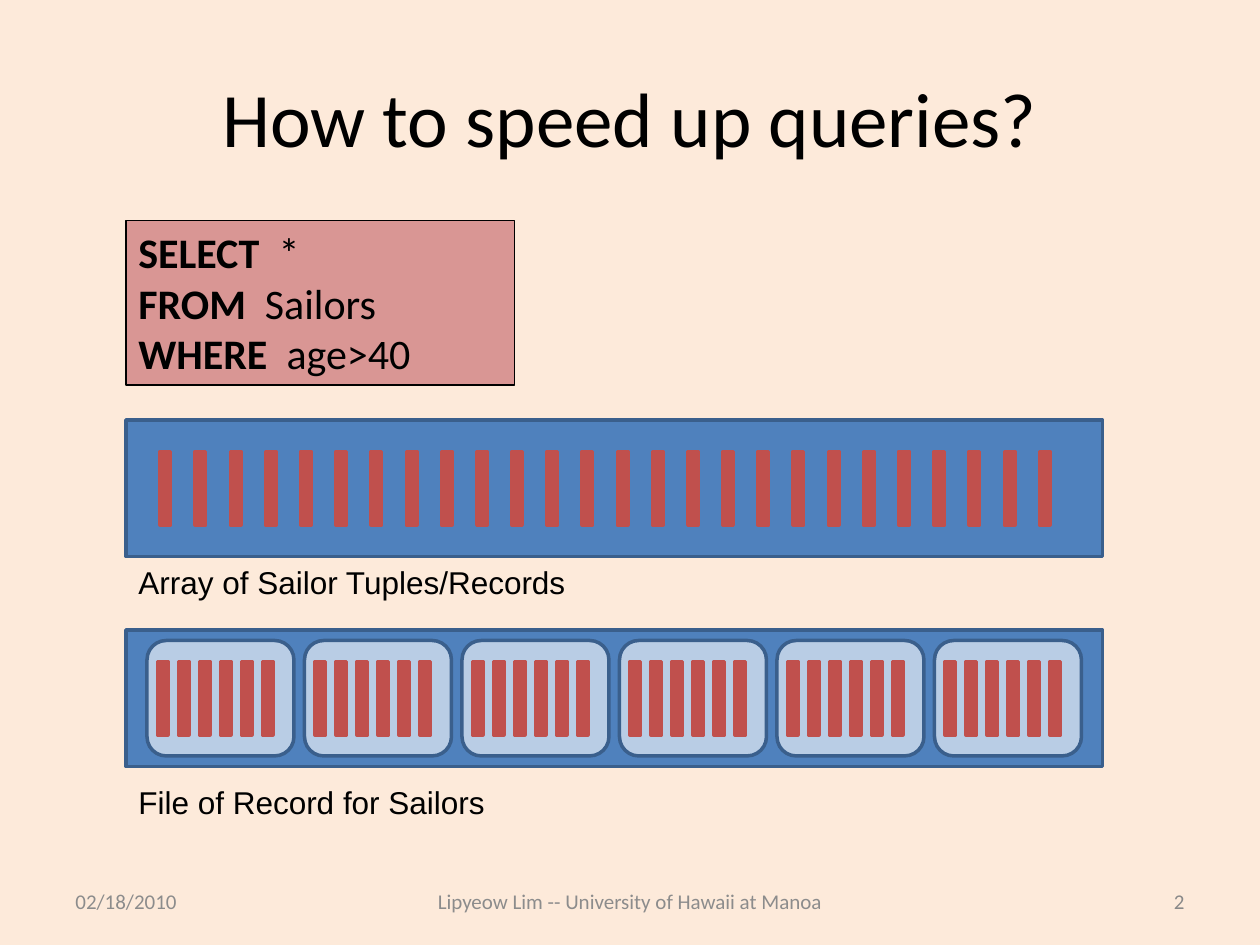
from dataclasses import dataclass

from pptx import Presentation
from pptx import util as u
from pptx.dml.color import RGBColor
from pptx.enum import shapes, text

COLS, ROWS = 120, 90
WIDE, HIGH = u.Inches(10), u.Inches(7.5)
RECT = shapes.MSO_SHAPE.RECTANGLE
ROUND = shapes.MSO_SHAPE.ROUNDED_RECTANGLE
LEFT, MID, RIGHT = text.PP_ALIGN.LEFT, text.PP_ALIGN.CENTER, text.PP_ALIGN.RIGHT
TOP, CORE = text.MSO_ANCHOR.TOP, text.MSO_ANCHOR.MIDDLE
FIT, FIXED = text.MSO_AUTO_SIZE.SHAPE_TO_FIT_TEXT, text.MSO_AUTO_SIZE.NONE


@dataclass(frozen=True)
class Theme:
    back: str = "FDEADA"
    ink: str = "000000"
    date: str = "8C8C8C"
    page: str = "898989"
    query: str = "D99694"
    store: str = "4F81BD"
    edge: str = "3A5F8C"
    block: str = "B9CDE5"
    record: str = "C0504D"
    head: int = 44
    code: int = 24
    label: int = 18
    foot: int = 12
    body: str = "Calibri"
    plain: str = "Arial"


@dataclass(frozen=True)
class Cell:
    col: float
    row: float
    cols: float
    rows: float

    def place(self) -> tuple:
        return (round(self.col * WIDE / COLS), round(self.row * HIGH / ROWS),
                round(self.cols * WIDE / COLS), round(self.rows * HIGH / ROWS))


@dataclass(frozen=True)
class Face:
    size: int
    name: str
    color: str


@dataclass(frozen=True)
class Label:
    cell: Cell
    words: str
    face: Face
    align: int = LEFT
    anchor: int = CORE
    wrap: bool = True
    auto: int = FIXED


@dataclass(frozen=True)
class Store:
    row: float
    label: Label


THEME = Theme()
CODE = Face(THEME.code, THEME.body, THEME.ink)
NOTE = Face(THEME.label, THEME.plain, THEME.ink)
DATE = Face(THEME.foot, THEME.body, THEME.date)
PAGE = Face(THEME.foot, THEME.body, THEME.page)

LABELS = (
    Label(Cell(6, 3.6, 108, 15), "How to speed up queries?",
          Face(THEME.head, THEME.body, THEME.ink), MID),
    Label(Cell(6, 83.4, 28, 4.8), "02/18/2010", DATE),
    Label(Cell(36, 83.4, 48, 4.8),
          "Lipyeow Lim -- University of Hawaii at Manoa", DATE, MID),
    Label(Cell(86, 83.4, 28, 4.8), "2", PAGE, RIGHT),
)
QUERY = (("SELECT  ", "*"), ("FROM  ", "Sailors"), ("WHERE  ", "age>40"))
FILE = Store(60, Label(Cell(12, 74, 35.8, 4.8), "File of Record for Sailors",
                       NOTE, anchor=TOP, wrap=False, auto=FIT))
ARRAY = Store(40, Label(Cell(12, 53, 43.4, 4.8), "Array of Sailor Tuples/Records",
                        NOTE, anchor=TOP, wrap=False, auto=FIT))


def apply(item, values: dict) -> None:
    for key, value in values.items():
        setattr(item, key, value)


def style(run, face: Face, bold: bool = False) -> None:
    apply(run.font, {"size": u.Pt(face.size), "name": face.name, "bold": bold})
    run.font.color.rgb = RGBColor.from_string(face.color)


def box(tree, cell: Cell, fill: str, edge: str, width: float = 2, kind=RECT):
    shape = tree.add_shape(kind, *cell.place())
    shape.shadow.inherit = False
    shape.fill.solid()
    shape.fill.fore_color.rgb = RGBColor.from_string(fill)
    shape.line.color.rgb = RGBColor.from_string(edge)
    shape.line.width = u.Pt(width)
    return shape


def write(tree, label: Label) -> None:
    frame = tree.add_textbox(*label.cell.place()).text_frame
    apply(frame, {"word_wrap": label.wrap, "auto_size": label.auto,
                  "vertical_anchor": label.anchor})
    para = frame.paragraphs[0]
    para.alignment = label.align
    run = para.add_run()
    run.text = label.words
    style(run, label.face)


def ask(tree) -> None:
    frame = box(tree, Cell(12, 21, 37, 15.7), THEME.query, THEME.ink, 1).text_frame
    apply(frame, {"word_wrap": True, "auto_size": FIT, "vertical_anchor": TOP})
    for i, parts in enumerate(QUERY):
        para = frame.add_paragraph() if i else frame.paragraphs[0]
        para.alignment = LEFT
        for words, bold in zip(parts, (True, False)):
            run = para.add_run()
            run.text = words
            style(run, CODE, bold)


def fill(tree, col: float, row: float, count: int, step: float) -> None:
    for i in range(count):
        box(tree, Cell(col + i * step, row, 1, 7), THEME.record, THEME.record)


def store(tree, item: Store):
    group = tree.add_group_shape().shapes
    box(group, Cell(12, item.row, 93, 13), THEME.store, THEME.edge)
    write(group, item.label)
    return group


def main() -> None:
    deck = Presentation()
    apply(deck, {"slide_width": WIDE, "slide_height": HIGH})
    slide = deck.slides.add_slide(deck.slide_layouts[6])
    slide.background.fill.solid()
    slide.background.fill.fore_color.rgb = RGBColor.from_string(THEME.back)
    tree = slide.shapes
    for label in LABELS:
        write(tree, label)
    ask(tree)
    group = store(tree, FILE)
    for i in range(6):
        col = 14 + 15 * i
        box(group, Cell(col, FILE.row + 1, 14, 11), THEME.block, THEME.edge, kind=ROUND)
        fill(group, col + 1, FILE.row + 3, 6, 2)
    fill(store(tree, ARRAY), 15.25, ARRAY.row + 3, 26, 3.35)
    deck.save("out.pptx")


if __name__ == "__main__":
    main()
